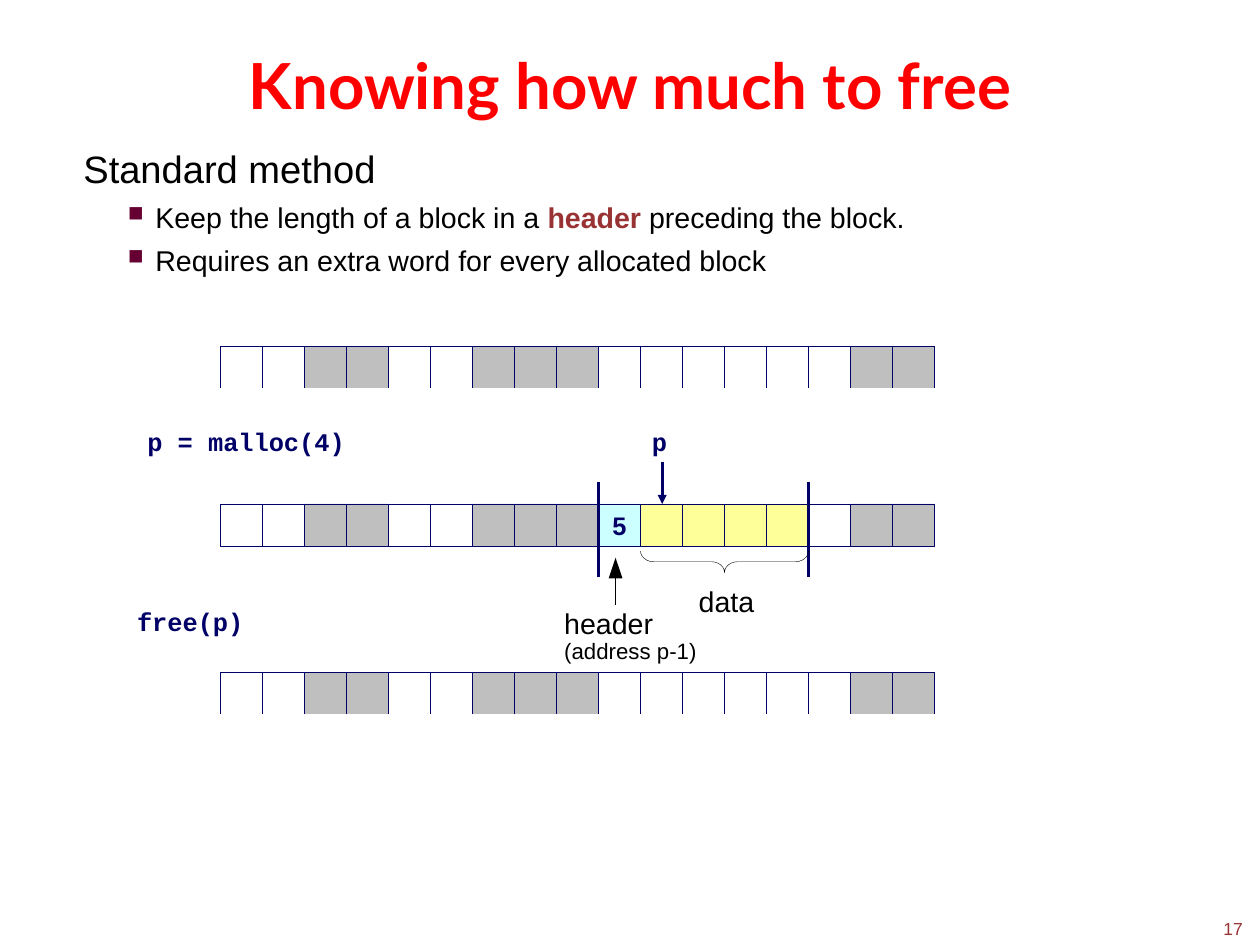
from lxml import etree
from pptx import Presentation
from pptx.dml.color import RGBColor
from pptx.enum.shapes import MSO_CONNECTOR as CONN, MSO_SHAPE as SHAPE
from pptx.enum.text import MSO_ANCHOR as ANCHOR, PP_ALIGN as ALIGN
from pptx.oxml.ns import qn
from pptx.util import Inches, Pt

NAVY, GRAY, BLACK, RED_BROWN = "000066", "BFBFBF", "000000", "993333"
FREE, USED, HEADER, DATA = ".", "#", "H", "D"
FILLS = {USED: GRAY, HEADER: "CCFFFF", DATA: "FFFF99"}
BEFORE = "..##..###......##"
ALLOCATED = "..##..###HDDDD.##"
CELL = 6.25 / len(BEFORE)
HAIRLINE = 0.25


def rgb(color):
    """Turn a hex string into a colour."""
    return RGBColor.from_string(color)


def paint(obj, color):
    """Fill an object with a colour, or leave it clear."""
    if color:
        obj.fill.solid()
        obj.fill.fore_color.rgb = rgb(color)
    else:
        obj.fill.background()


def style(r, size, color, font="Arial", bold=False):
    """Set the font of a run."""
    r.font.name, r.font.size, r.font.bold = font, Pt(size), bold
    r.font.color.rgb = rgb(color)


def clear_margins(tf):
    """Remove the insets of a text frame."""
    tf.margin_left = tf.margin_top = tf.margin_right = tf.margin_bottom = 0


def text_frame(s, x, y, w, h, wrap=False):
    """Add a text box without insets and return its frame."""
    tf = s.shapes.add_textbox(*map(Inches, (x, y, w, h))).text_frame
    clear_margins(tf)
    tf.word_wrap = wrap
    return tf


def label(s, text, x, y, w, h, size, color=BLACK, font="Arial", bold=False):
    """Add one line of text and return its paragraph."""
    p = text_frame(s, x, y, w, h).paragraphs[0]
    p.text = text
    style(p.runs[0], size, color, font, bold)
    return p


def code(s, text, x, y, w):
    """Add a line of code."""
    label(s, text, x, y, w, 0.25, 16, NAVY, "Courier New", True)


def shape(s, kind, x, y, w, h, fill=None, line=None):
    """Add a preset shape with a hairline or no outline."""
    sp = s.shapes.add_shape(kind, *map(Inches, (x, y, w, h)))
    sp.shadow.inherit = False
    paint(sp, fill)
    if line:
        sp.line.color.rgb = rgb(line)
        sp.line.width = Pt(HAIRLINE)
    else:
        sp.line.fill.background()
    return sp


def vertical(s, x, top, bottom, color, width):
    """Draw a vertical line."""
    line = s.shapes.add_connector(CONN.STRAIGHT, *map(Inches, (x, top, x, bottom)))
    line.line.color.rgb = rgb(color)
    line.line.width = Pt(width)
    etree.SubElement(line._element.spPr, qn("a:effectLst"))


def arrow(s, x, start, tip, head_w, head_h, color, width):
    """Draw a vertical arrow whose head ends at the tip."""
    down = tip > start
    base = tip - head_h if down else tip + head_h
    vertical(s, x, min(start, base), max(start, base), color, width)
    head = shape(s, SHAPE.ISOSCELES_TRIANGLE, x - head_w / 2, min(base, tip),
                 head_w, head_h, color)
    head.rotation = 180 if down else 0


def add_border(cell, side, color):
    """Set one border of a table cell, or hide it."""
    pr = cell._tc.get_or_add_tcPr()
    ln = etree.SubElement(pr, qn(f"a:ln{side}"), w=str(Pt(HAIRLINE)))
    if color:
        fill = etree.SubElement(ln, qn("a:solidFill"))
        etree.SubElement(fill, qn("a:srgbClr"), val=color)
    else:
        etree.SubElement(ln, qn("a:noFill"))


def memory_table(s, x, y, words):
    """Add a row of memory words as a table, open at the bottom."""
    frame = s.shapes.add_table(1, len(words), Inches(x), Inches(y),
                               Inches(CELL * len(words)), Inches(CELL))
    table = frame.table
    table.first_row = table.horz_banding = False
    table.rows[0].height = Inches(CELL)
    for column, word in zip(table.columns, words):
        column.width = Inches(CELL)
    for cell, word in zip(table.rows[0].cells, words):
        cell.margin_left = cell.margin_top = cell.margin_right = cell.margin_bottom = 0
        for side in "LRTB":
            add_border(cell, side, None if side == "B" else NAVY)
        paint(cell, FILLS.get(word))


def memory_cells(s, x, y, words):
    """Add a row of memory words as squares, with the size in the header."""
    for i, word in enumerate(words):
        sp = shape(s, SHAPE.RECTANGLE, x + i * CELL, y, CELL, CELL, FILLS.get(word), NAVY)
        if word == HEADER:
            tf = sp.text_frame
            clear_margins(tf)
            tf.vertical_anchor = ANCHOR.MIDDLE
            p = tf.paragraphs[0]
            p.text, p.alignment = "5", ALIGN.CENTER
            style(p.runs[0], 16, NAVY, bold=True)


def allocated_block(s, x, y):
    """Draw the allocated row with its bars, arrows, brace and captions."""
    memory_cells(s, x, y, ALLOCATED)
    left = x + ALLOCATED.index(HEADER) * CELL
    data = left + CELL
    right = x + (ALLOCATED.rindex(DATA) + 1) * CELL
    for edge in (left, right):
        vertical(s, edge, y - 0.19, y + 0.64, NAVY, 2.24)
    code(s, "p", data + 0.1, y - 0.68, 0.16)
    arrow(s, data + 0.19, y - 0.37, y, 0.08, 0.08, NAVY, 2)
    arrow(s, left + 0.15, y + 0.88, y + 0.47, 0.12, 0.18, BLACK, HAIRLINE)
    depth, span = 0.19, right - data
    brace = shape(s, SHAPE.RIGHT_BRACE, (data + right - depth) / 2,
                  y + 0.41 + (depth - span) / 2, depth, span, line=BLACK)
    brace.rotation = 90
    brace.adjustments[0] = 0.6
    label(s, "data", data + 0.51, y + 0.7, 0.51, 0.28, 18)
    label(s, "header", left - 0.3, y + 0.89, 0.8, 0.28, 18)
    label(s, "(address p-1)", left - 0.3, y + 1.17, 1.19, 0.22, 14)


def method(s, x, y, w, h):
    """Add the heading and the bulleted points."""
    tf = text_frame(s, x, y, w, h, True)
    heading = tf.paragraphs[0]
    heading.text = "Standard method"
    style(heading.runs[0], 24, BLACK)
    points = [("Keep the length of a block in a ", "header", " preceding the block."),
              ("Requires an extra word for every allocated block",)]
    for parts in points:
        p = tf.add_paragraph()
        p.space_before = Pt(5.5)
        pr = p._p.get_or_add_pPr()
        pr.set("marL", str(Inches(0.63)))
        pr.set("indent", str(Inches(-0.24)))
        color = etree.SubElement(pr, qn("a:buClr"))
        etree.SubElement(color, qn("a:srgbClr"), val="660033")
        etree.SubElement(pr, qn("a:buSzPct"), val="75000")
        etree.SubElement(pr, qn("a:buChar"), char="■")
        for part in parts:
            r = p.add_run()
            r.text = part
            key = part == "header"
            style(r, 18, RED_BROWN if key else BLACK, bold=key)


def build():
    """Build the slide and save it."""
    prs = Presentation()
    prs.slide_width, prs.slide_height = Inches(11.03), Inches(8.26)
    s = prs.slides.add_slide(prs.slide_layouts[6])
    title = label(s, "Knowing how much to free", 2.02, 0.41, 6.99, 0.56,
                  40, "FF0000", "Lato", True)
    title.alignment, title.line_spacing = ALIGN.CENTER, Pt(47.6)
    method(s, 0.73, 1.27, 7.19, 1.09)
    memory_table(s, 1.93, 3.03, BEFORE)
    code(s, "p = malloc(4)", 1.29, 3.73, 1.76)
    allocated_block(s, 1.93, 4.41)
    code(s, "free(p)", 1.2, 5.3, 0.96)
    memory_table(s, 1.93, 5.88, BEFORE)
    label(s, "17", 10.71, 8.03, 0.2, 0.18, 11, RED_BROWN)
    prs.save("out.pptx")


build()
